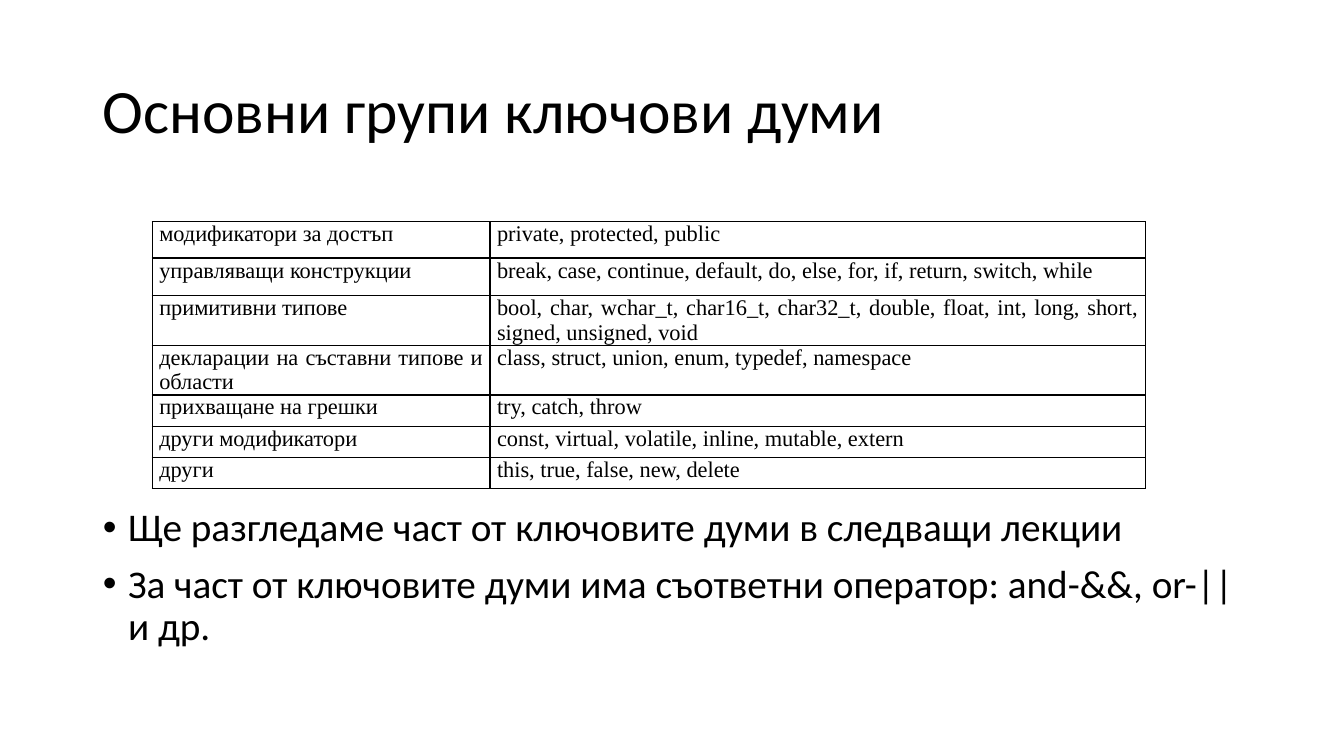
from lxml import etree
from pptx import Presentation
from pptx.dml.color import RGBColor
from pptx.enum.text import MSO_ANCHOR, MSO_AUTO_SIZE, PP_ALIGN
from pptx.oxml.ns import qn
from pptx.util import Inches, Pt

LEFT, JUSTIFY = PP_ALIGN.LEFT, PP_ALIGN.JUSTIFY
TOP, MIDDLE = MSO_ANCHOR.TOP, MSO_ANCHOR.MIDDLE
NO_FIT = MSO_AUTO_SIZE.NONE

# Content
TITLE = "Основни групи ключови думи"
KEYWORD_GROUPS = [
    ("модификатори за достъп", "private, protected, public"),
    ("управляващи конструкции",
     "break, case, continue, default, do, else, for, if, return, switch, while"),
    ("примитивни типове",
     "bool, char, wchar_t, char16_t, char32_t, double, float, int, long, short, "
     "signed, unsigned, void"),
    ("декларации на съставни типове и области",
     "class, struct, union, enum, typedef, namespace"),
    ("прихващане на грешки", "try, catch, throw"),
    ("други модификатори", "const, virtual, volatile, inline, mutable, extern"),
    ("други", "this, true, false, new, delete"),
]
NOTES_ON_KEYWORDS = [
    "Ще разгледаме част от ключовите думи в следващи лекции",
    "За част от ключовите думи има съответни оператор: and-&&, or-|| и др.",
]

# Theme and layout, lengths in inches
THEME = {
    "ink": "000000",
    "title": ("Calibri", 44),
    "body": ("Calibri", 28),
    "cell": ("Times New Roman", 16),
    "border": 1,
}
SLIDE_SIZE = (13.33, 7.5)
MARGIN = 0.92
TEXT_WIDTH = SLIDE_SIZE[0] - 2 * MARGIN
TITLE_BOX = (MARGIN, 0.4, TEXT_WIDTH, 1.45)
BODY_BOX = (MARGIN, 4.99, TEXT_WIDTH, 1.76)
TABLE_CORNER = (1.51, 2.2)
COLUMNS = (3.35, 6.5)
ROWS = [0.36, 0.37] + [0.31] * (len(KEYWORD_GROUPS) - 2)
CELL_INSET = 0.07
BULLET_INDENT = 0.25


def add_text(para, text, style):
    span = para.add_run()
    span.text = text
    span.font.name, size = THEME[style]
    span.font.size = Pt(size)
    span.font.color.rgb = RGBColor.from_string(THEME["ink"])


def place(box, area, anchor):
    box.left, box.top, box.width, box.height = map(Inches, area)
    frame = box.text_frame
    frame.auto_size = NO_FIT
    frame.word_wrap = True
    frame.vertical_anchor = anchor
    return frame


def add_bullet(para):
    props = para._p.get_or_add_pPr()
    props.set("marL", str(Inches(BULLET_INDENT)))
    props.set("indent", str(-Inches(BULLET_INDENT)))
    etree.SubElement(props, qn("a:buFont"), typeface="Arial")
    etree.SubElement(props, qn("a:buChar"), char="•")


def add_borders(cell):
    props = cell._tc.get_or_add_tcPr()
    for side in ("lnL", "lnR", "lnT", "lnB"):
        line = etree.SubElement(props, qn("a:" + side), w=str(Pt(THEME["border"])))
        fill = etree.SubElement(line, qn("a:solidFill"))
        etree.SubElement(fill, qn("a:srgbClr"), val=THEME["ink"])


def fill_cell(cell, text):
    cell.margin_left = cell.margin_right = Inches(CELL_INSET)
    cell.margin_top = cell.margin_bottom = 0
    cell.vertical_anchor = TOP
    add_borders(cell)
    cell.fill.background()
    para = cell.text_frame.paragraphs[0]
    para.alignment = JUSTIFY
    add_text(para, text, "cell")


def add_keyword_table(page):
    area = (*TABLE_CORNER, sum(COLUMNS), sum(ROWS))
    table = page.shapes.add_table(len(ROWS), len(COLUMNS), *map(Inches, area)).table
    table.first_row = table.horz_banding = False
    for column, width in zip(table.columns, COLUMNS):
        column.width = Inches(width)
    for row, height, texts in zip(table.rows, ROWS, KEYWORD_GROUPS):
        row.height = Inches(height)
        for cell, text in zip(row.cells, texts):
            fill_cell(cell, text)


def main():
    deck = Presentation()
    deck.slide_width, deck.slide_height = map(Inches, SLIDE_SIZE)
    page = deck.slides.add_slide(deck.slide_layouts[1])

    # Title
    para = place(page.shapes.title, TITLE_BOX, MIDDLE).paragraphs[0]
    para.alignment = LEFT
    para.line_spacing = 0.9
    add_text(para, TITLE, "title")

    # Keyword groups
    add_keyword_table(page)

    # Bulleted list
    frame = place(page.placeholders[1], BODY_BOX, TOP)
    for index, text in enumerate(NOTES_ON_KEYWORDS):
        para = frame.add_paragraph() if index else frame.paragraphs[0]
        add_bullet(para)
        para.line_spacing = 0.9
        para.space_before = Pt(10 if index else 0)
        add_text(para, text, "body")

    deck.save("out.pptx")


if __name__ == "__main__":
    main()
